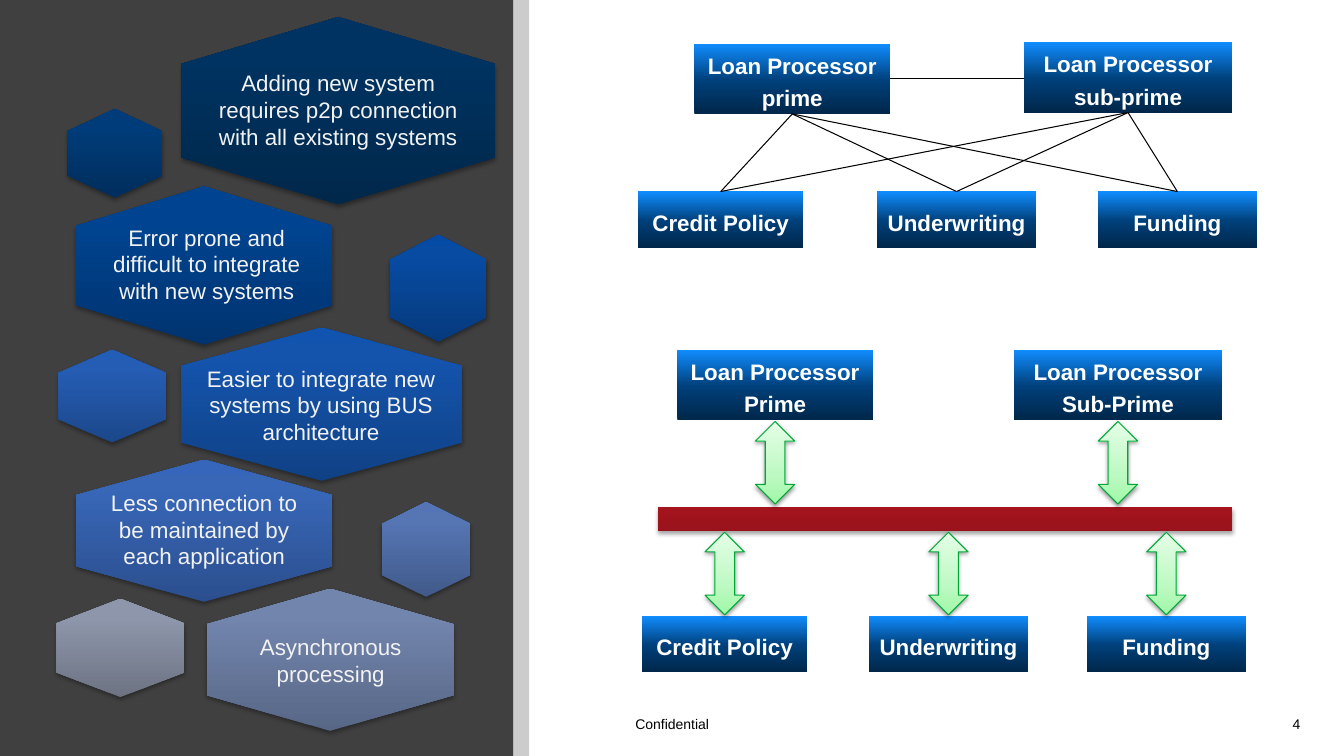
"""Build a slide contrasting point-to-point integration with a bus architecture."""
from dataclasses import dataclass
from itertools import product

from lxml import etree
from pptx import Presentation
from pptx.dml.color import RGBColor
from pptx.enum.shapes import MSO_CONNECTOR, MSO_SHAPE
from pptx.enum.text import MSO_ANCHOR, MSO_AUTO_SIZE, PP_ALIGN
from pptx.oxml.ns import qn
from pptx.util import Pt

RECT = MSO_SHAPE.RECTANGLE
MINUS = MSO_SHAPE.MATH_MINUS
ARROW = MSO_SHAPE.UP_DOWN_ARROW
STRAIGHT = MSO_CONNECTOR.STRAIGHT
MIDDLE = MSO_ANCHOR.MIDDLE
CENTER, RIGHT = PP_ALIGN.CENTER, PP_ALIGN.RIGHT
FIT = MSO_AUTO_SIZE.SHAPE_TO_FIT_TEXT

COLORS = {
    "panel": "404040", "black": "000000", "white": "FFFFFF",
    "caption": "F2F2F2", "arrow_line": "00A738",
}
BOX_STOPS = ((0, "00274A"), (48, "00407B"), (100, "108DFF"))
BUS_STOPS = ((0, "861018"), (80, "AE151F"), (100, "B1121D"))
ARROW_STOPS = ((0, "9FF8A7"), (35, "BDF9C2"), (100, "E5FEE7"))
ARROW_W, ARROW_H = 28.1, 59


@dataclass
class Hexagon:
    x: float
    y: float
    w: float
    h: float
    colors: tuple[str, str, str]
    shoulder: float = 0.25


@dataclass
class Label:
    text: str
    x: float
    y: float
    w: float
    h: float
    size: float = 16
    color: str = "caption"
    align: PP_ALIGN = CENTER


@dataclass
class Box:
    text: str
    x: float
    y: float
    w: float
    h: float

    @property
    def mid(self) -> float:
        return self.x + self.w / 2

    @property
    def bottom(self) -> float:
        return self.y + self.h


HEXAGONS = [
    Hexagon(129.6, 12.2, 223.9, 133.9, ("00284B", "003362", "003462")),
    Hexagon(48.2, 77.8, 67.7, 63.4, ("002E5D", "003C79", "003C7A")),
    Hexagon(54, 133.2, 183.6, 113, ("003470", "004491", "004492")),
    Hexagon(278.6, 167.8, 69.1, 76.3, ("063A7D", "074BA2", "044BA6"), 0.23),
    Hexagon(129.6, 234, 200.2, 109.4, ("104185", "1454AD", "1154B0")),
    Hexagon(41.8, 249.8, 76.7, 66.2, ("1C488B", "255DB4", "225DB8")),
    Hexagon(54, 328.3, 183.6, 101.5, ("2B4F8E", "3867B8", "3666BC")),
    Hexagon(272.9, 358.6, 63, 67.7, ("415A8A", "5575B3", "5474B6"), 0.23),
    Hexagon(147.6, 420.5, 176.4, 101.5, ("586786", "7285AD", "7285AF")),
    Hexagon(40.3, 427.7, 91.4, 70.2, ("6D7383", "8D96AA", "8D96AB")),
]
LABELS = [
    Label("Adding new system requires p2p connection with all existing systems",
          143.3, 46.1, 196.6, 65.5),
    Label("Error prone and difficult to integrate with new systems",
          72.7, 156.2, 149.8, 65.5),
    Label("Easier to integrate new systems by using BUS architecture",
          130.3, 257, 198, 65.5),
    Label("Less connection to be maintained by each application",
          71.3, 345.6, 149, 65.5),
    Label("Asynchronous processing", 167.8, 448.6, 136.8, 46.1),
    Label("Confidential", 192.2, 507.6, 576, 19.4, 10, "black"),
    Label("4", 892.8, 507.6, 43.2, 19.4, 10, "black", RIGHT),
]
DIRECT_PROCESSORS = [
    Box("Loan Processor prime", 496.1, 31.2, 139.7, 50.2),
    Box("Loan Processor sub-prime", 731.5, 30.2, 148.5, 50.2),
]
DIRECT_DEPARTMENTS = [
    Box("Credit Policy", 455.8, 136.8, 118.1, 40.3),
    Box("Underwriting", 626.4, 136.8, 113.8, 40.3),
    Box("Funding", 784.1, 136.8, 113.8, 40.3),
]
BUS_PROCESSORS = [
    Box("Loan Processor Prime", 483.8, 249.8, 139.7, 50.2),
    Box("Loan Processor Sub-Prime", 724.3, 249.8, 148.5, 50.2),
]
BUS_DEPARTMENTS = [
    Box("Credit Policy", 458.6, 439.9, 118.1, 40.3),
    Box("Underwriting", 620.6, 439.9, 113.8, 40.3),
    Box("Funding", 776.2, 439.9, 113.8, 40.3),
]


def rgb(name: str) -> RGBColor:
    return RGBColor.from_string(COLORS[name])


def set_gradient(s, stops) -> None:
    s.fill.gradient()
    s.fill.gradient_angle = 90
    gs_list = s._element.spPr.find(qn("a:gradFill")).find(qn("a:gsLst"))
    for gs in list(gs_list):
        gs_list.remove(gs)
    for pos, color in stops:
        gs = etree.SubElement(gs_list, qn("a:gs"), pos=str(pos * 1000))
        etree.SubElement(gs, qn("a:srgbClr"), val=color)


def add_shadow(s, alpha: int, dist: float) -> None:
    effects = s._element.spPr.find(qn("a:effectLst"))
    shadow = etree.SubElement(effects, qn("a:outerShdw"), blurRad=str(Pt(3.1)),
                              dist=str(Pt(dist)), dir="5400000", rotWithShape="0")
    color = etree.SubElement(shadow, qn("a:srgbClr"), val=COLORS["black"])
    etree.SubElement(color, qn("a:alpha"), val=str(alpha * 1000))


def add_preset(shapes, kind, x: float, y: float, w: float, h: float):
    s = shapes.add_shape(kind, Pt(x), Pt(y), Pt(w), Pt(h))
    s.shadow.inherit = False
    s.line.fill.background()
    return s


def write(tf, text: str, size: float, color: str, align: PP_ALIGN):
    tf.word_wrap = True
    p = tf.paragraphs[0]
    p.text = text
    p.alignment = align
    p.font.name, p.font.size = "Arial", Pt(size)
    p.font.color.rgb = rgb(color)
    return p


def draw_panel(shapes) -> None:
    for x, w, color in ((0, 366.5, "panel"), (366.5, 11.5, "black")):
        s = add_preset(shapes, RECT, x, 0, w, 540)
        s.fill.solid()
        s.fill.fore_color.rgb = rgb(color)
    fill_color = s._element.spPr.find(qn("a:solidFill"))[0]
    etree.SubElement(fill_color, qn("a:alpha"), val="20000")


def draw_hexagon(shapes, hexagon: Hexagon) -> None:
    x, y, w, h = hexagon.x, hexagon.y, hexagon.w, hexagon.h
    drop = h * hexagon.shoulder
    points = [(x + w, y + drop), (x + w, y + h - drop), (x + w / 2, y + h),
              (x, y + h - drop), (x, y + drop)]
    builder = shapes.build_freeform(Pt(x + w / 2), Pt(y))
    builder.add_line_segments([(Pt(px), Pt(py)) for px, py in points], close=True)
    s = builder.convert_to_shape()
    s.shadow.inherit = False
    s.line.fill.background()
    set_gradient(s, zip((0, 80, 100), hexagon.colors))
    add_shadow(s, 35, 1.8)


def draw_box(shapes, box: Box) -> None:
    s = add_preset(shapes, RECT, box.x, box.y, box.w, box.h)
    set_gradient(s, BOX_STOPS)
    tf = s.text_frame
    tf.vertical_anchor = MIDDLE
    tf.margin_left = tf.margin_right = Pt(3.6)
    p = write(tf, box.text, 16, "white", CENTER)
    p.line_spacing = 1.2
    p.font.bold = True


def draw_line(shapes, x1: float, y1: float, x2: float, y2: float) -> None:
    s = shapes.add_connector(STRAIGHT, Pt(x1), Pt(y1), Pt(x2), Pt(y2))
    s.line.color.rgb = rgb("black")
    s.line.width = Pt(0.75)
    etree.SubElement(s._element.spPr, qn("a:effectLst"))


def draw_arrow(shapes, mid: float, y: float) -> None:
    s = add_preset(shapes, ARROW, mid - ARROW_W / 2, y, ARROW_W, ARROW_H)
    set_gradient(s, ARROW_STOPS)
    s.line.color.rgb = rgb("arrow_line")
    s.line.width = Pt(0.75)
    add_shadow(s, 38, 1.6)


def draw_label(shapes, label: Label) -> None:
    s = shapes.add_textbox(Pt(label.x), Pt(label.y), Pt(label.w), Pt(label.h))
    s.text_frame.auto_size = FIT
    write(s.text_frame, label.text, label.size, label.color, label.align)


def main() -> None:
    prs = Presentation()
    prs.slide_width, prs.slide_height = Pt(960), Pt(540)
    shapes = prs.slides.add_slide(prs.slide_layouts[6]).shapes
    draw_panel(shapes)
    for hexagon in HEXAGONS:
        draw_hexagon(shapes, hexagon)
    for box in DIRECT_PROCESSORS + DIRECT_DEPARTMENTS + BUS_PROCESSORS + BUS_DEPARTMENTS:
        draw_box(shapes, box)
    for top, low in product(DIRECT_PROCESSORS, DIRECT_DEPARTMENTS):
        draw_line(shapes, top.mid, top.bottom, low.mid, low.y)
    prime, sub_prime = DIRECT_PROCESSORS
    draw_line(shapes, prime.x + prime.w, 56.3, sub_prime.x, 56.3)
    bus = add_preset(shapes, MINUS, 396, 334.8, 558, 72)
    set_gradient(bus, BUS_STOPS)
    add_shadow(bus, 35, 1.8)
    for box in BUS_PROCESSORS:
        draw_arrow(shapes, box.mid, box.bottom + 1)
    for box in BUS_DEPARTMENTS:
        draw_arrow(shapes, box.mid, box.y - ARROW_H - 0.7)
    for label in LABELS:
        draw_label(shapes, label)
    prs.save("out.pptx")


if __name__ == "__main__":
    main()
